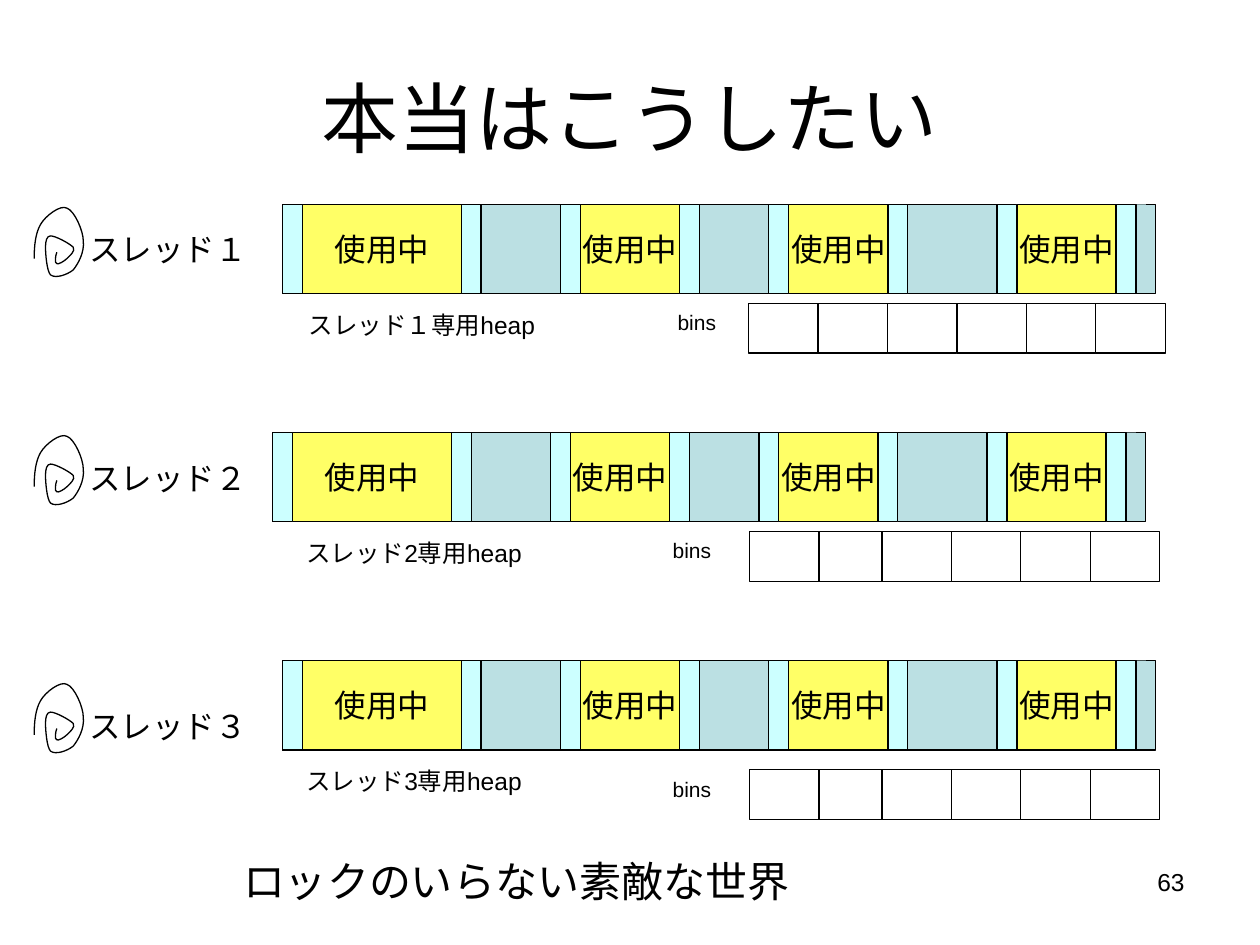
from dataclasses import dataclass
from lxml.etree import SubElement
from pptx import Presentation
from pptx.dml.color import RGBColor
from pptx.enum.shapes import MSO_SHAPE
from pptx.enum.text import MSO_ANCHOR, MSO_AUTO_SIZE, PP_ALIGN
from pptx.oxml.ns import qn
from pptx.util import Cm, Pt


@dataclass(frozen=True)
class Theme:
    font: str = "Arial"
    ink: RGBColor = RGBColor.from_string("000000")
    free: RGBColor = RGBColor.from_string("BBE0E3")
    used: RGBColor = RGBColor.from_string("FFFF66")
    tag: RGBColor = RGBColor.from_string("CCFFFF")
    bin: RGBColor = RGBColor.from_string("FFFFFF")
    title: Pt = Pt(44)
    closing: Pt = Pt(24)
    label: Pt = Pt(18)
    caption: Pt = Pt(14)
    small: Pt = Pt(12)
    line: Pt = Pt(0.75)


theme = Theme()
deck = Presentation()
deck.slide_width, deck.slide_height = Cm(25.4), Cm(19.05)
slide = deck.slides.add_slide(deck.slide_layouts[6])


def add_block(left, top, width, height, color, outlined=True):
    block = slide.shapes.add_shape(
        MSO_SHAPE.RECTANGLE, Cm(left), Cm(top), Cm(width), Cm(height))
    block.shadow.inherit = False
    block.fill.solid()
    block.fill.fore_color.rgb = color
    if outlined:
        block.line.color.rgb = theme.ink
        block.line.width = theme.line
    else:
        block.line.fill.background()
    return block


def write(holder, text, size, align=PP_ALIGN.LEFT, **frame_format):
    frame = holder.text_frame
    for name, value in ({"word_wrap": False} | frame_format).items():
        setattr(frame, name, value)
    paragraph = frame.paragraphs[0]
    paragraph.alignment = align
    run = paragraph.add_run()
    run.text = text
    for name, value in {"name": theme.font, "size": size}.items():
        setattr(run.font, name, value)
    run.font.color.rgb = theme.ink


# Title
title = slide.shapes.add_textbox(Cm(1.27), Cm(0.76), Cm(22.86), Cm(3.18))
write(title, "本当はこうしたい", theme.title, PP_ALIGN.CENTER,
      word_wrap=True, vertical_anchor=MSO_ANCHOR.MIDDLE)

# Heap measures in cm: each used area sits between a header and a footer tag
HEAP_WIDTH, HEAP_HEIGHT, TAG_WIDTH = 17.6, 1.8, 0.4
USED_AREAS = [(0.4, 3.2), (6, 2), (10.2, 2), (14.8, 2)]
BIN_COUNT, BIN_WIDTH, BIN_HEIGHT = 6, 1.4, 1

# Thread swirl in hundredths of an inch: start, then Bézier points by threes
SWIRL_START = (0, 43)
SWIRL_CURVES = [
    (0, 33), (1, 23), (5, 16), (9, 9), (21, 0), (26, 3),
    (32, 5), (39, 21), (39, 29), (40, 38), (35, 47), (31, 52),
    (26, 56), (17, 59), (13, 56), (10, 53), (9, 39), (9, 34),
    (9, 29), (10, 25), (13, 25), (17, 25), (28, 31), (31, 34),
    (33, 37), (28, 41), (26, 43), (24, 45), (19, 48), (18, 47),
    (16, 47), (17, 40), (18, 38),
]

# Per thread: name, caption, heap left and top, swirl top,
# caption left, bins label left, bins left and top, overlap at the third bin
threads = [
    ("スレッド１", "スレッド１専用heap", 5.7, 4.12, 4.12, 5.97, 13.41, 15.09, 6.12, 0),
    ("スレッド２", "スレッド2専用heap", 5.5, 8.72, 8.72, 5.92, 13.31, 15.11, 10.72, 0.13),
    ("スレッド３", "スレッド3専用heap", 5.7, 13.32, 13.72, 5.92, 13.31, 15.11, 15.52, 0.13),
]

for (thread, caption, heap_left, heap_top, swirl_top, caption_left,
     bins_label_left, bins_left, bins_top, overlap) in threads:
    # Heap with its used areas and tags
    add_block(heap_left, heap_top, HEAP_WIDTH, HEAP_HEIGHT, theme.free)
    add_block(heap_left + 17.2, heap_top, 0.2, 0.2, theme.free, outlined=False)
    for offset, width in USED_AREAS:
        used_left = heap_left + offset
        used = add_block(used_left, heap_top, width, HEAP_HEIGHT, theme.used)
        write(used, "使用中", theme.label, PP_ALIGN.CENTER,
              vertical_anchor=MSO_ANCHOR.MIDDLE)
        for tag_left in (used_left - TAG_WIDTH, used_left + width):
            add_block(tag_left, heap_top, TAG_WIDTH, HEAP_HEIGHT, theme.tag)

    # Bins
    for index in range(BIN_COUNT):
        shift = overlap if index >= 2 else 0
        add_block(bins_left + index * BIN_WIDTH - shift, bins_top,
                  BIN_WIDTH, BIN_HEIGHT, theme.bin)

    # Thread swirl, its straight segments turned into Bézier curves
    builder = slide.shapes.build_freeform(*SWIRL_START, scale=Cm(2.54) / 100)
    builder.add_line_segments(SWIRL_CURVES, close=False)
    swirl = builder.convert_to_shape(Cm(0.69), Cm(swirl_top))
    swirl.shadow.inherit = False
    swirl.fill.background()
    swirl.line.color.rgb = theme.ink
    swirl.line.width = theme.line
    outline = next(swirl._element.iter(qn("a:path")))
    segments = outline.findall(qn("a:lnTo"))
    for start in range(0, len(segments), 3):
        curve = SubElement(outline, qn("a:cubicBezTo"))
        for segment in segments[start:start + 3]:
            curve.append(segment[0])
            outline.remove(segment)

    # Thread name, heap caption and bins label
    for text, size, left, top, width, height in [
        (thread, theme.label, 1.55, swirl_top + 0.4, 3.75, 1.02),
        (caption, theme.caption, caption_left, heap_top + 2, 5.4, 0.86),
        ("bins", theme.small, bins_label_left, bins_top, 1.45, 0.76),
    ]:
        label = slide.shapes.add_textbox(Cm(left), Cm(top), Cm(width), Cm(height))
        write(label, text, size, auto_size=MSO_AUTO_SIZE.SHAPE_TO_FIT_TEXT)

# Closing line and page number
closing = slide.shapes.add_textbox(Cm(4.65), Cm(17.12), Cm(11.6), Cm(1.27))
write(closing, "ロックのいらない素敵な世界", theme.closing,
      auto_size=MSO_AUTO_SIZE.SHAPE_TO_FIT_TEXT)
page_number = slide.shapes.add_textbox(Cm(18.21), Cm(17.35), Cm(5.92), Cm(1.32))
write(page_number, "63", theme.caption, PP_ALIGN.RIGHT, word_wrap=True)

deck.save("out.pptx")
